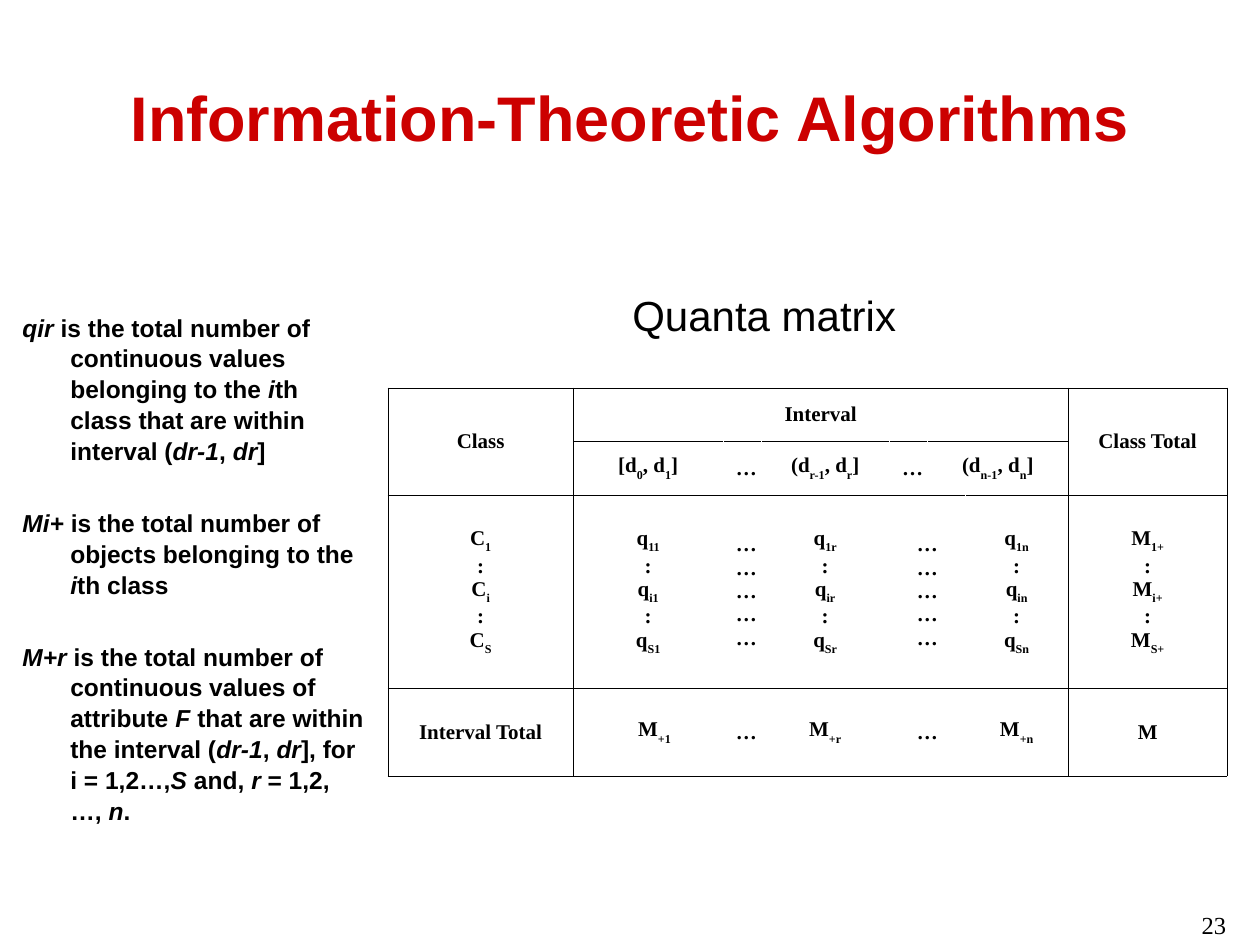
from pptx import Presentation
from pptx.dml.color import RGBColor
from pptx.enum.text import MSO_ANCHOR, PP_ALIGN
from pptx.oxml import parse_xml
from pptx.oxml.ns import nsdecls
from pptx.util import Inches, Pt

RED = RGBColor(0xCC, 0x00, 0x00)
BLACK = RGBColor(0x00, 0x00, 0x00)
WHITE = RGBColor(0xFF, 0xFF, 0xFF)
HANGING = Inches(0.38)


def write(frame, lines, marked=None, hanging=False, align=PP_ALIGN.LEFT, **font):
    """Fill a text frame; every second part between bars is italic or subscript."""
    frame.word_wrap = True
    for number, line in enumerate(lines):
        para = frame.add_paragraph() if number else frame.paragraphs[0]
        para.alignment = align
        if hanging:
            properties = para._p.get_or_add_pPr()
            properties.set("marL", str(HANGING))
            properties.set("indent", str(-HANGING))
        for index, part in enumerate(line.split("|")):
            if not part:
                continue
            span = para.add_run()
            span.text = part
            span.font.color.rgb = font.get("color", BLACK)
            for name in ("name", "size", "bold"):
                setattr(span.font, name, font.get(name))
            if index % 2 and marked == "italic":
                span.font.italic = True
            elif index % 2 and marked == "subscript":
                span.font._element.set("baseline", "-30000")


def add_box(left, top, width, height):
    box = page.shapes.add_textbox(Inches(left), Inches(top), Inches(width), Inches(height))
    return box.text_frame


deck = Presentation()
deck.slide_width, deck.slide_height = Inches(10), Inches(7.5)
page = deck.slides.add_slide(deck.slide_layouts[6])

title = add_box(0.5, 0.3, 9, 1.25)
title.vertical_anchor = MSO_ANCHOR.MIDDLE
write(title, ["Information-Theoretic Algorithms"], align=PP_ALIGN.CENTER,
      name="Arial", size=Pt(36), bold=True, color=RED)

# Definitions
definitions = add_box(0.08, 2.42, 2.92, 4.7)
write(definitions, [
    "|qir| is the total number of continuous values belonging to the |i|th class "
    "that are within interval (|dr-1|, |dr|]",
    "|Mi+| is the total number of objects belonging to the |i|th class",
    "|M+r| is the total number of continuous values of attribute |F| that are within "
    "the interval (|dr-1|, |dr|], for i = 1,2…,|S| and, |r| = 1,2, …, |n|.",
], marked="italic", hanging=True, name="Arial", size=Pt(14), bold=True)
for number, para in enumerate(definitions.paragraphs):
    para.line_spacing = 1.05
    if number:
        para.space_before = Pt(23.5)

# Quanta matrix
column_widths = [1.47, 1.19, 0.3, 1.02, 0.3, 0.3, 0.82, 1.26]
row_heights = [0.42, 0.43, 1.53, 0.7]
table = page.shapes.add_table(4, 8, Inches(3.08), Inches(3.08),
                              Inches(sum(column_widths)), Inches(sum(row_heights))).table
table.first_row = table.horz_banding = False
for column, width in zip(table.columns, column_widths):
    column.width = Inches(width)
for row, height in zip(table.rows, row_heights):
    row.height = Inches(height)

merges = [((0, 0), (1, 0)), ((0, 1), (0, 6)), ((0, 7), (1, 7)),
          ((1, 5), (1, 6)), ((2, 4), (2, 5)), ((3, 4), (3, 5))]
for first, last in merges:
    table.cell(*first).merge(table.cell(*last))

columns = [("C", ""), ("q", "1"), None, ("q", "r"), None, None, ("q", "n"), ("M", "+")]
class_rows = []
for column in columns:
    if column:
        letter, suffix = column
        entries = [f"{letter}|{index}{suffix}" for index in "1iS"]
        # q11 has the same form as qi1 and qS1
        class_rows.append("\n:\n".join(entries))
    else:
        class_rows.append("\n".join("…" * 5))
class_rows[5] = ""
matrix = [
    ["Class", "Interval", "", "", "", "", "", "Class Total"],
    ["", "[d|0|, d|1|]", "…", "(d|r-1|, d|r|]", "…", "(d|n-1|, d|n|]", "", ""],
    class_rows,
    ["Interval Total", "M|+1", "…", "M|+r", "…", "", "M|+n", "M"],
]
for row, texts in enumerate(matrix):
    for column, text in enumerate(texts):
        cell = table.cell(row, column)
        last = column + (cell.span_width if cell.is_merge_origin else 1) - 1
        borders = {
            "lnL": BLACK if column in (0, 1, 7) else WHITE,
            "lnR": BLACK if last in (0, 6, 7) else WHITE,
            "lnT": BLACK,
            "lnB": BLACK,
        }
        for side, color in borders.items():
            cell._tc.get_or_add_tcPr().append(parse_xml(
                f'<a:{side} {nsdecls("a")} w="{Pt(0.45)}"><a:solidFill>'
                f'<a:srgbClr val="{color}"/></a:solidFill></a:{side}>'))
        cell.fill.background()
        cell.vertical_anchor = MSO_ANCHOR.MIDDLE
        if text:
            write(cell.text_frame, text.split("\n"), marked="subscript", hanging=True,
                  align=PP_ALIGN.CENTER, name="Times New Roman", size=Pt(12), bold=True)
table.cell(3, 1).margin_left = Inches(0.2)

write(add_box(4.92, 2.25, 2.85, 0.5), ["Quanta matrix"], name="Arial", size=Pt(24))
write(add_box(7.5, 7.17, 2.33, 0.52), ["23"], align=PP_ALIGN.RIGHT,
      name="Times New Roman", size=Pt(14))

deck.save("out.pptx")
